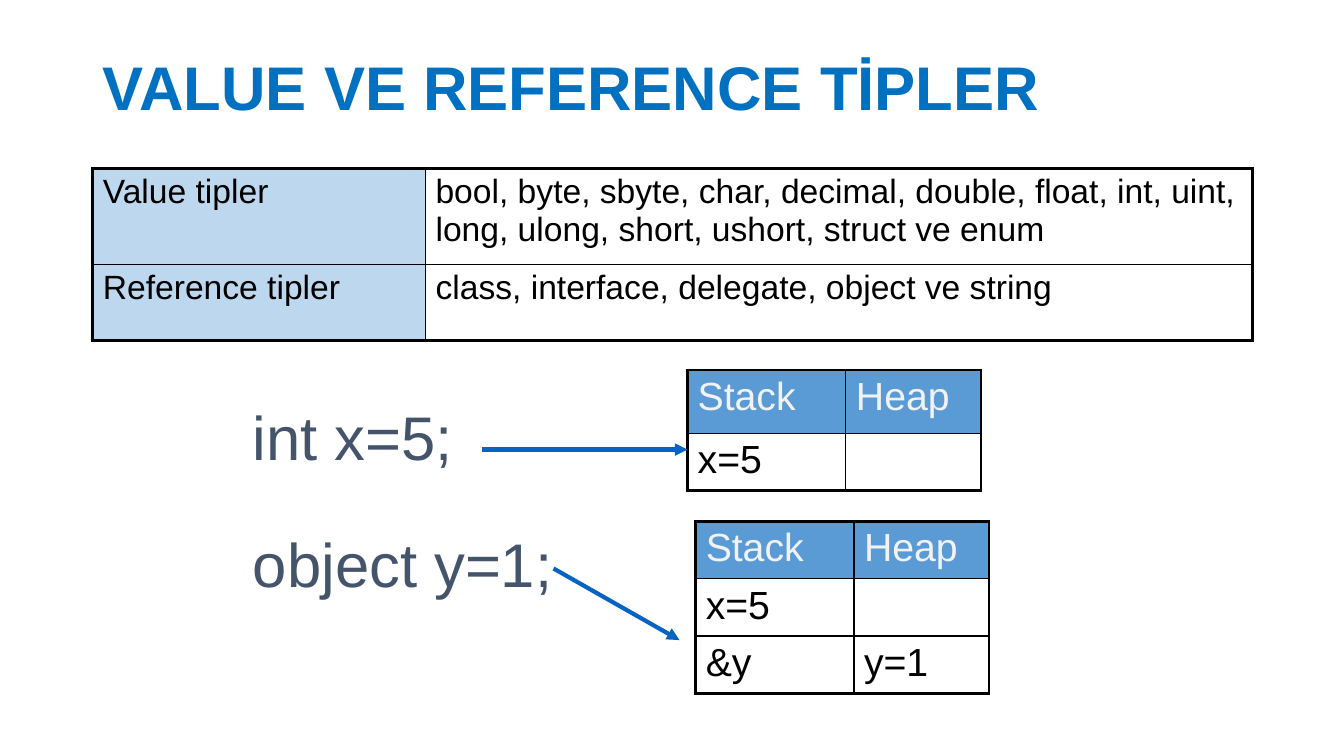
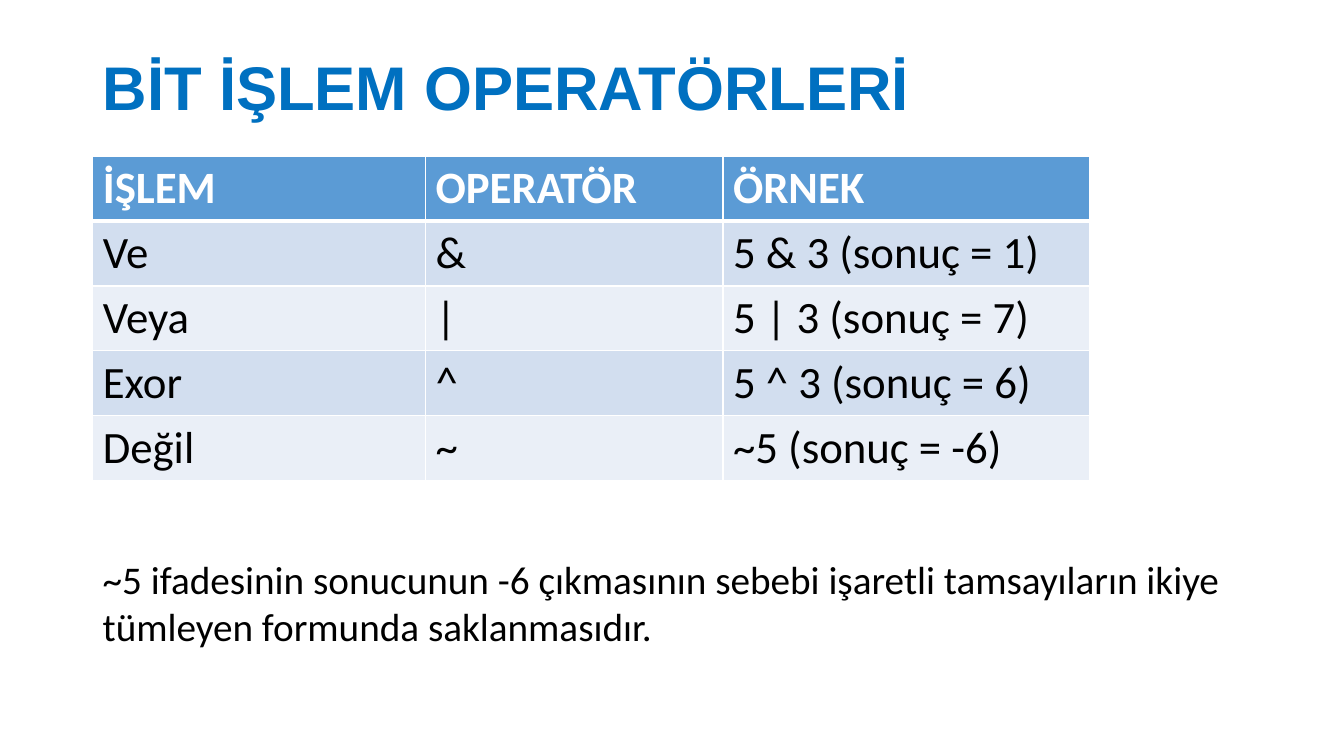
from lxml.etree import SubElement
from pptx import Presentation
from pptx.dml.color import RGBColor
from pptx.enum.shapes import MSO_CONNECTOR
from pptx.enum.text import MSO_ANCHOR, MSO_AUTO_SIZE, PP_ALIGN
from pptx.oxml.ns import qn
from pptx.util import Emu, Pt

EMU_PER_PX = 9144
SANS, BODY = "Arial", "Calibri"
TITLE_BLUE, HEADER_BLUE, ARROW_BLUE = "0070C0", "5B9BD5", "0563C1"
LABEL_BLUE, DARK_BAND, LIGHT_BAND = "BDD7EE", "D2DEEF", "EAEFF7"
BLACK, WHITE, PALE, SLATE = "000000", "FFFFFF", "F2F2F2", "44546A"
MARGIN = 92


def px(length):
    """Turn px into EMU."""
    return Emu(length * EMU_PER_PX)


def rgb(value):
    """Turn a hex string into a colour."""
    return RGBColor.from_string(value)


def style(paragraph, family, size, color, bold=False):
    """Set the font of a whole paragraph."""
    font = paragraph.font
    font.name, font.size, font.bold = family, Pt(size), bold
    font.color.rgb = rgb(color)


def add_titled_slide(deck, heading):
    """Add a title-only slide with the shared title style."""
    slide = deck.slides.add_slide(deck.slide_layouts[5])
    title = slide.shapes.title
    title.left, title.top, title.width, title.height = map(px, (MARGIN, 40, 1150, 99))
    frame = title.text_frame
    frame.text = heading
    frame.auto_size = MSO_AUTO_SIZE.NONE
    frame.word_wrap = True
    frame.vertical_anchor = MSO_ANCHOR.MIDDLE
    paragraph = frame.paragraphs[0]
    paragraph.alignment = PP_ALIGN.LEFT
    paragraph.line_spacing = 0.9
    style(paragraph, SANS, 44, TITLE_BLUE, True)
    return slide


def add_text(slide, box, wording, family, size, color):
    """Add a wrapping one-paragraph text box."""
    frame = slide.shapes.add_textbox(*map(px, box)).text_frame
    frame.word_wrap = True
    frame.auto_size = MSO_AUTO_SIZE.SHAPE_TO_FIT_TEXT
    frame.text = wording
    style(frame.paragraphs[0], family, size, color)


def add_arrow(slide, start, end):
    """Add a straight arrow between two points."""
    arrow = slide.shapes.add_connector(MSO_CONNECTOR.STRAIGHT, *map(px, start + end))
    arrow.line.color.rgb = rgb(ARROW_BLUE)
    arrow.line.width = Pt(3)
    properties = arrow.element.spPr
    SubElement(properties.find(qn("a:ln")), qn("a:tailEnd"), type="triangle")
    SubElement(properties, qn("a:effectLst"))


def set_borders(cell, color, widths):
    """Draw the left, right, top and bottom borders of a cell."""
    properties = cell._tc.get_or_add_tcPr()
    for side, width in zip("LRTB", widths):
        line = SubElement(properties, qn(f"a:ln{side}"), w=str(Pt(width)))
        fill = SubElement(line, qn("a:solidFill"))
        SubElement(fill, qn("a:srgbClr"), val=color)


def add_grid(slide, corner, columns, heights, rows, look, family, size,
             border, outer=1, under_header=1):
    """Add a table; look(row, column) gives fill, text colour and boldness."""
    table = slide.shapes.add_table(
        len(heights), len(columns), *map(px, (*corner, sum(columns), sum(heights)))).table
    table.first_row = table.horz_banding = False
    for column, width in zip(table.columns, columns):
        column.width = px(width)
    across = [outer] + [1] * (len(columns) - 1) + [outer]
    down = [outer, under_header] + [1] * (len(heights) - 2) + [outer]
    for r, (height, wordings) in enumerate(zip(heights, rows)):
        table.rows[r].height = px(height)
        for c, wording in enumerate(wordings):
            cell = table.cell(r, c)
            fill, color, bold = look(r, c)
            set_borders(cell, border, (across[c], across[c + 1], down[r], down[r + 1]))
            if fill:
                cell.fill.solid()
                cell.fill.fore_color.rgb = rgb(fill)
            else:
                cell.fill.background()
            cell.text = wording
            style(cell.text_frame.paragraphs[0], family, size, color, bold)


def label_look(row, column):
    """Shade the first column."""
    return (None if column else LABEL_BLUE), BLACK, False


def memory_look(row, column):
    """Shade the header row of a memory table."""
    return (None, BLACK, False) if row else (HEADER_BLUE, PALE, False)


def banded_look(row, column):
    """Shade the header and alternate the rows below it."""
    if row == 0:
        return HEADER_BLUE, WHITE, True
    return (DARK_BAND if row % 2 else LIGHT_BAND), BLACK, False


def add_memory(slide, corner, heights, contents):
    """Add a stack and heap table."""
    add_grid(slide, corner, (157, 134), heights, [("Stack", "Heap"), *contents],
             memory_look, SANS, 28, BLACK, outer=2.25)


def build_types(deck):
    """Build the slide on value and reference types."""
    slide = add_titled_slide(deck, "VALUE VE REFERENCE TİPLER")
    kinds = [
        ("Value tipler", "bool, byte, sbyte, char, decimal, double, float, int, uint, "
                         "long, ulong, short, ushort, struct ve enum"),
        ("Reference tipler", "class, interface, delegate, object ve string"),
    ]
    add_grid(slide, (MARGIN, 167), (330, 820), (95, 76), kinds,
             label_look, SANS, 24, BLACK, outer=2.25)
    add_memory(slide, (682, 367), (63, 57), [("x=5", "")])
    add_text(slide, (241, 391, 244, 83), "int x=5;", SANS, 44, SLATE)
    add_text(slide, (241, 517, 362, 83), "object y=1;", SANS, 44, SLATE)
    add_memory(slide, (690, 517), (57, 57, 57), [("x=5", ""), ("&y", "y=1")])
    add_arrow(slide, (478, 446), (682, 446))
    add_arrow(slide, (549, 564), (674, 635))


def build_operators(deck):
    """Build the slide on bitwise operators."""
    slide = add_titled_slide(deck, "BİT İŞLEM OPERATÖRLERİ")
    operators = [
        ("İŞLEM", "OPERATÖR", "ÖRNEK"),
        ("Ve", "&", "5 & 3 (sonuç = 1)"),
        ("Veya", "|", "5 | 3 (sonuç = 7)"),
        ("Exor", "^", "5 ^ 3 (sonuç = 6)"),
        ("Değil", "~", "~5 (sonuç = -6)"),
    ]
    add_grid(slide, (MARGIN, 155), (330, 295, 364), [64] * len(operators), operators,
             banded_look, BODY, 32, WHITE, under_header=3)
    add_text(slide, (MARGIN, 546, 1168, 104),
             "~5 ifadesinin sonucunun -6 çıkmasının sebebi işaretli tamsayıların "
             "ikiye tümleyen formunda saklanmasıdır.", BODY, 28, BLACK)


def main():
    """Build and save the deck."""
    deck = Presentation()
    deck.slide_width, deck.slide_height = px(1333), px(750)
    build_types(deck)
    build_operators(deck)
    deck.save("out.pptx")


if __name__ == "__main__":
    main()
